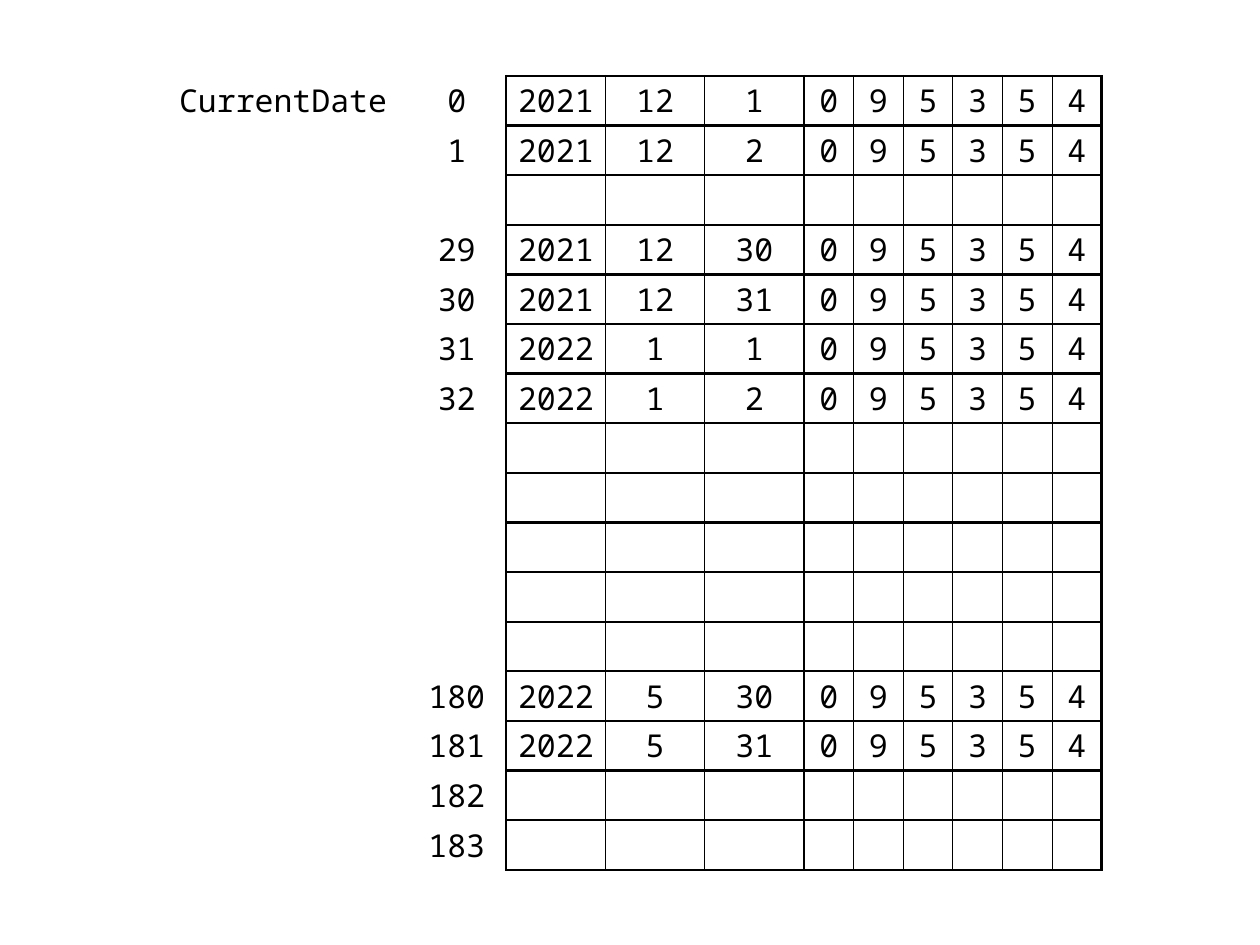
from lxml.etree import SubElement
from pptx import Presentation
from pptx.dml.color import RGBColor
from pptx.enum.text import MSO_ANCHOR, PP_ALIGN
from pptx.oxml.ns import qn
from pptx.util import Pt

PX = 914400 // 126
BLACK = RGBColor(0, 0, 0)
FONT = "Noto Sans Mono"
NO_STYLE = "{2D5ABB26-0587-4C30-8999-92F81FD0307C}"
THICK, THIN = 1.5, 0.5

LEFT, TOP, HEIGHT = 159, 76, 794
COLUMN_UNITS = [5, 2, 2, 2, 2] + [1] * 6
INDEX_COL, YEAR_COL, DAY_COL, TIME_COL, LAST_COL = 1, 2, 4, 5, 10
TIME_DIGITS = list("095354")

# One entry per row: index label, then the date if there is one
ENTRIES = [
    ("0", "2021", "12", "1"),
    ("1", "2021", "12", "2"),
    (),
    ("29", "2021", "12", "30"),
    ("30", "2021", "12", "31"),
    ("31", "2022", "1", "1"),
    ("32", "2022", "1", "2"),
    (), (), (), (), (),
    ("180", "2022", "5", "30"),
    ("181", "2022", "5", "31"),
    ("182",),
    ("183",),
]


def px(n):
    """Convert pixels to EMU."""
    return n * PX


def row_texts(row, entry):
    """Return the texts of one row, from the first column on."""
    name = "CurrentDate" if row == 0 else ""
    time = TIME_DIGITS if len(entry) == 4 else []
    return [name, *entry, *time]


def cell_borders(col):
    """Return the border widths of a cell in the given column."""
    if col < INDEX_COL:
        return {}
    if col == INDEX_COL:
        return {"a:lnR": THICK}
    return {
        "a:lnL": THICK if col in (YEAR_COL, TIME_COL) else THIN,
        "a:lnR": THICK if col in (DAY_COL, LAST_COL) else THIN,
        "a:lnT": THICK,
        "a:lnB": THICK,
    }


def draw_borders(cell, borders):
    """Add solid black border lines to a cell."""
    tcPr = cell._tc.get_or_add_tcPr()
    for tag, width in borders.items():
        ln = SubElement(tcPr, qn(tag), w=str(Pt(width)))
        fill = SubElement(ln, qn("a:solidFill"))
        SubElement(fill, qn("a:srgbClr"), val=str(BLACK))


def write_cell(cell, text):
    """Put centred text into a cell without margins."""
    cell.margin_left = cell.margin_right = 0
    cell.margin_top = cell.margin_bottom = 0
    cell.vertical_anchor = MSO_ANCHOR.MIDDLE
    if not text:
        return
    p = cell.text_frame.paragraphs[0]
    p.text = text
    p.alignment = PP_ALIGN.CENTER
    font = p.runs[0].font
    font.name, font.size = FONT, Pt(18)
    font.color.rgb = BLACK


def add_buffer_table(s):
    """Add the table of dates and times, built on a square unit."""
    unit = px(HEIGHT) // len(ENTRIES)
    frame = s.shapes.add_table(len(ENTRIES), len(COLUMN_UNITS), px(LEFT), px(TOP),
                               unit * sum(COLUMN_UNITS), unit * len(ENTRIES))
    table = frame.table
    table.first_row = table.horz_banding = False
    table._tbl.tblPr.find(qn("a:tableStyleId")).text = NO_STYLE
    for column, units in zip(table.columns, COLUMN_UNITS):
        column.width = unit * units
    for row, entry in enumerate(ENTRIES):
        table.rows[row].height = unit
        texts = row_texts(row, entry)
        for col in range(len(COLUMN_UNITS)):
            cell = table.cell(row, col)
            write_cell(cell, texts[col] if col < len(texts) else "")
            draw_borders(cell, cell_borders(col))
            cell.fill.background()


def main():
    """Build the slide and save it."""
    prs = Presentation()
    prs.slide_width, prs.slide_height = px(1260), px(945)
    s = prs.slides.add_slide(prs.slide_layouts[6])
    add_buffer_table(s)
    prs.save("out.pptx")


main()
